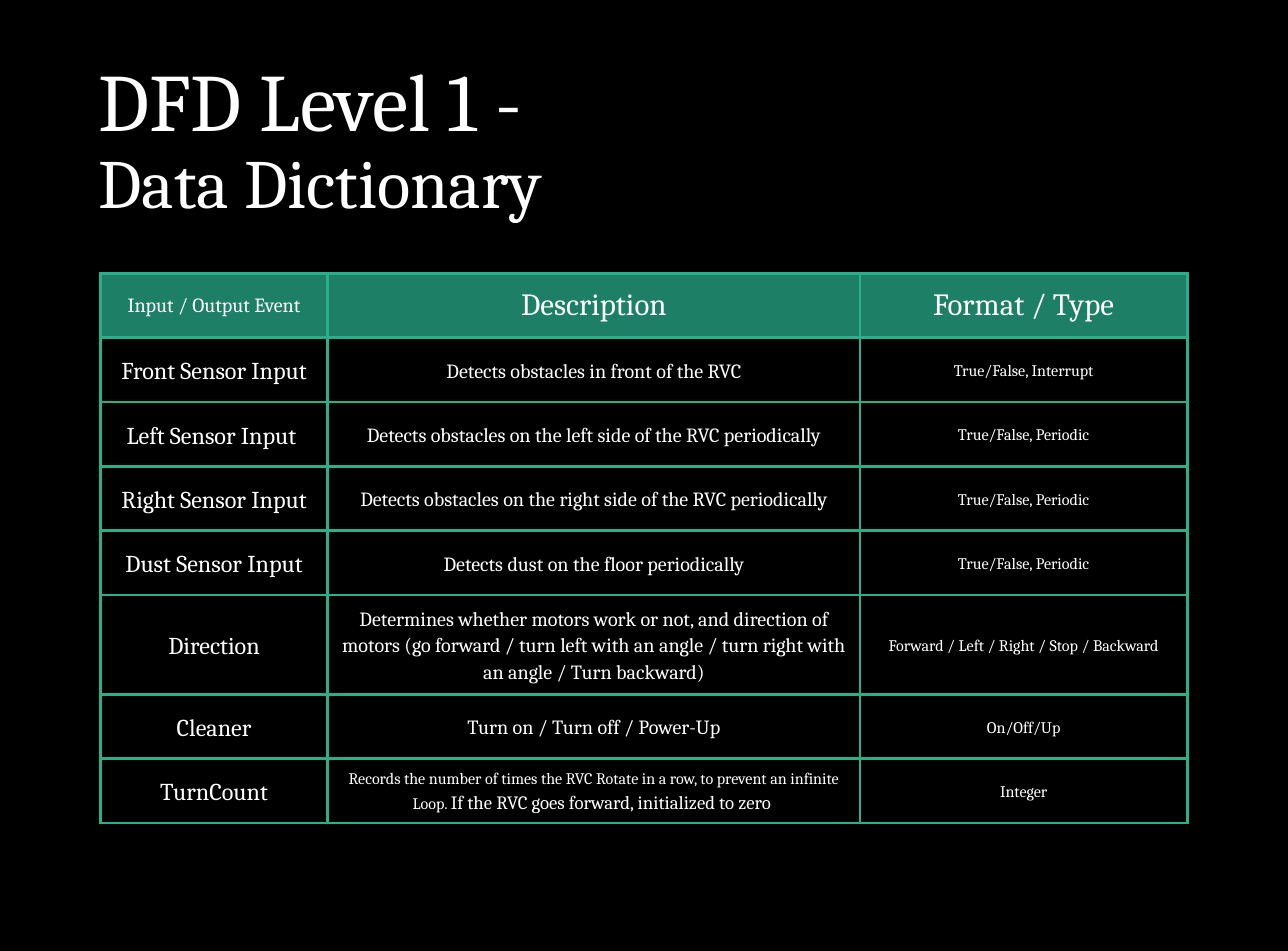
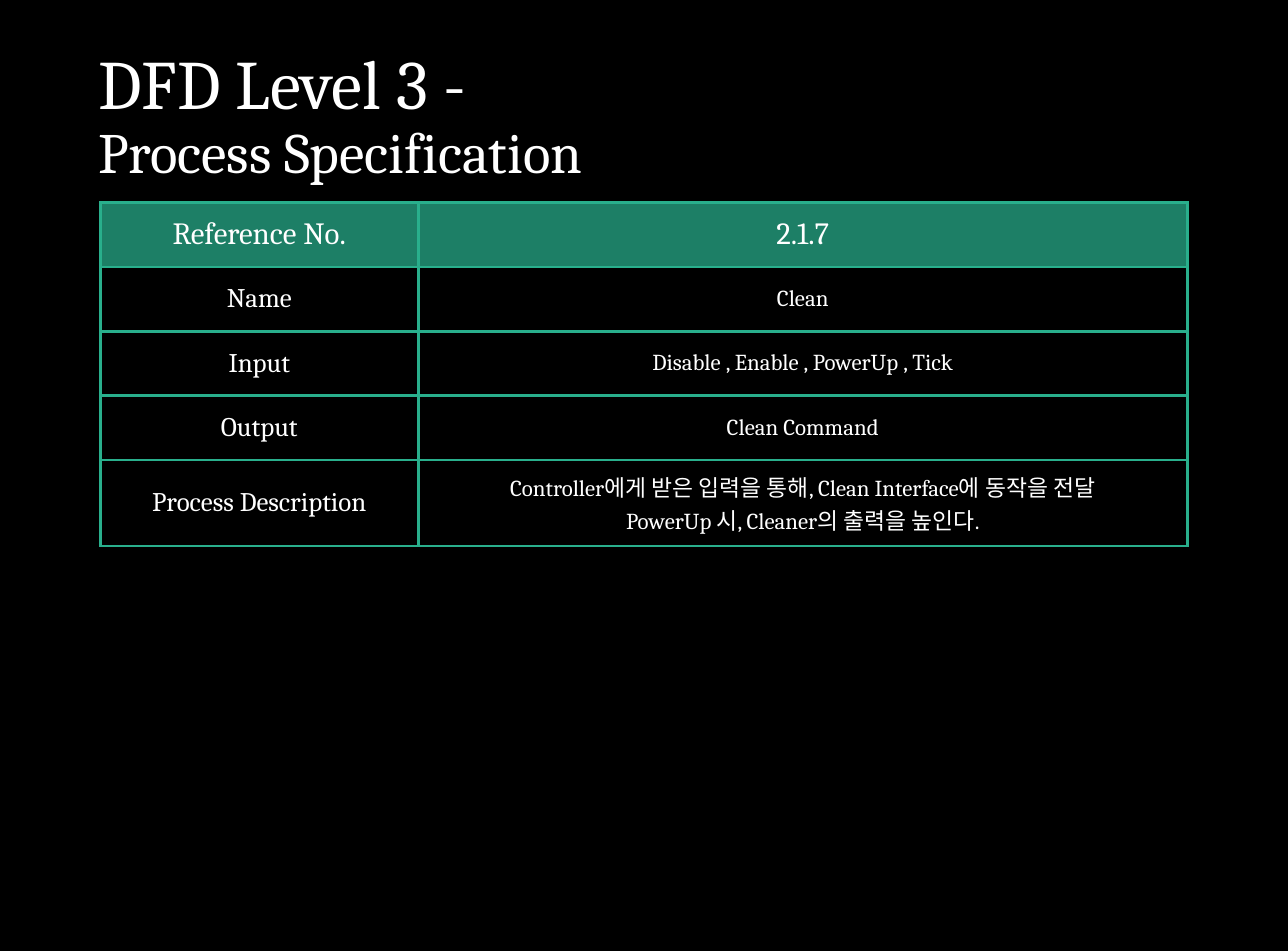
from lxml.etree import SubElement
from pptx import Presentation
from pptx.dml.color import RGBColor
from pptx.enum.text import MSO_ANCHOR as Anchor, PP_ALIGN as Align
from pptx.oxml.ns import qn
from pptx.util import Cm, Pt

COLORS = {"background": "000000", "text": "FFFFFF", "header": "1D7F66", "border": "29AF8C"}
FONT = "Cambria"
HEADER_SIZE = 23
SIDE_MARGIN = Cm(0.25)
END_MARGIN = Cm(0.21)
ROW_HEIGHT = 1.69

SLIDES = [
    {
        "title": [("DFD Level 1 -", 60.7), ("Data Dictionary", 51.5)],
        "title_top": 1.32,
        "table_top": 7.19,
        "widths": [5.98, 14, 8.6],
        "tall_rows": {5: 2.58},
        "sizes": [18, 15, 12],
        "line_spacing": 1.15,
        "rows": [
            ("Input / Output Event", "Description", "Format / Type"),
            ("Front Sensor Input", "Detects obstacles in front of the RVC", "True/False, Interrupt"),
            ("Left Sensor Input ", "Detects obstacles on the left side of the RVC periodically",
             "True/False, Periodic"),
            ("Right Sensor Input", "Detects obstacles on the right side of the RVC periodically",
             "True/False, Periodic"),
            ("Dust Sensor Input", "Detects dust on the floor periodically", "True/False, Periodic"),
            ("Direction",
             "Determines whether motors work or not, and direction of motors (go forward / "
             "turn left with an angle / turn right with an angle / Turn backward)",
             "Forward / Left / Right / Stop / Backward"),
            ("Cleaner", "Turn on / Turn off / Power-Up", "On/Off/Up"),
            ("TurnCount",
             "Records the number of times the RVC Rotate in a row, to prevent an infinite Loop. ",
             "Integer"),
        ],
        # (row, column): size of the cell
        "special_sizes": {(0, 0): 15, (7, 1): 12},
        # (row, column): closing run and its size
        "extra_runs": {(7, 1): ("If the RVC goes forward, initialized to zero ", 14)},
    },
    {
        "title": [("DFD Level 3 -", 51.7), ("Process Specification", 42.5)],
        "title_top": 0.67,
        "table_top": 5.33,
        "widths": [8.36, 20.22],
        "tall_rows": {4: 2.26},
        "sizes": [20, 17],
        "line_spacing": 1,
        "rows": [
            ("Reference No.", "2.1.7"),
            ("Name", "Clean"),
            ("Input", "Disable , Enable , PowerUp , Tick"),
            ("Output", "Clean Command"),
            ("Process Description",
             "Controller에게 받은 입력을 통해, Clean Interface에 동작을 전달\n"
             "PowerUp 시, Cleaner의 출력을 높인다."),
        ],
        "special_sizes": {},
        "extra_runs": {},
    },
]


def style_paragraph(paragraph, size, align, line_spacing):
    paragraph.alignment = align
    paragraph.line_spacing = line_spacing
    paragraph.font.name = FONT
    paragraph.font.size = Pt(size)
    paragraph.font.color.rgb = RGBColor.from_string(COLORS["text"])


def add_borders(cell):
    properties = cell._tc.get_or_add_tcPr()
    for side in ("a:lnL", "a:lnR", "a:lnT", "a:lnB"):
        line = SubElement(properties, qn(side), w=str(Pt(2.25)))
        fill = SubElement(line, qn("a:solidFill"))
        SubElement(fill, qn("a:srgbClr"), val=COLORS["border"])


presentation = Presentation()
presentation.slide_width, presentation.slide_height = Cm(33.87), Cm(25)

# Shared background
background = presentation.slide_master.background.fill
background.solid()
background.fore_color.rgb = RGBColor.from_string(COLORS["background"])

for content in SLIDES:
    slide = presentation.slides.add_slide(presentation.slide_layouts[6])

    # Title
    title = slide.shapes.add_textbox(Cm(2.34), Cm(content["title_top"]), Cm(29.21), Cm(4.83))
    frame = title.text_frame
    frame.word_wrap = True
    frame.vertical_anchor = Anchor.MIDDLE
    frame.text = "\n".join(text for text, size in content["title"])
    for paragraph, (text, size) in zip(frame.paragraphs, content["title"]):
        style_paragraph(paragraph, size, Align.LEFT, 0.9)

    # Table grid
    rows, widths = content["rows"], content["widths"]
    heights = [content["tall_rows"].get(index, ROW_HEIGHT) for index in range(len(rows))]
    table = slide.shapes.add_table(
        len(rows), len(widths), Cm(2.64), Cm(content["table_top"]),
        Cm(sum(widths)), Cm(sum(heights))).table
    table.first_row = table.horz_banding = False
    for column, width in zip(table.columns, widths):
        column.width = Cm(width)
    for row, height in zip(table.rows, heights):
        row.height = Cm(height)

    # Table cells
    for row_index, texts in enumerate(rows):
        is_header = row_index == 0
        for column_index, text in enumerate(texts):
            position = (row_index, column_index)
            cell = table.cell(*position)
            cell.text = text
            cell.vertical_anchor = Anchor.MIDDLE
            cell.margin_left = cell.margin_right = SIDE_MARGIN
            cell.margin_top = cell.margin_bottom = END_MARGIN
            add_borders(cell)
            if is_header:
                cell.fill.solid()
                cell.fill.fore_color.rgb = RGBColor.from_string(COLORS["header"])
            else:
                cell.fill.background()

            size = HEADER_SIZE if is_header else content["sizes"][column_index]
            size = content["special_sizes"].get(position, size)
            line_spacing = 1 if is_header else content["line_spacing"]
            for paragraph in cell.text_frame.paragraphs:
                style_paragraph(paragraph, size, Align.CENTER, line_spacing)
            if position in content["extra_runs"]:
                run = paragraph.add_run()
                run.text, run_size = content["extra_runs"][position]
                run.font.size = Pt(run_size)

presentation.save("out.pptx")
